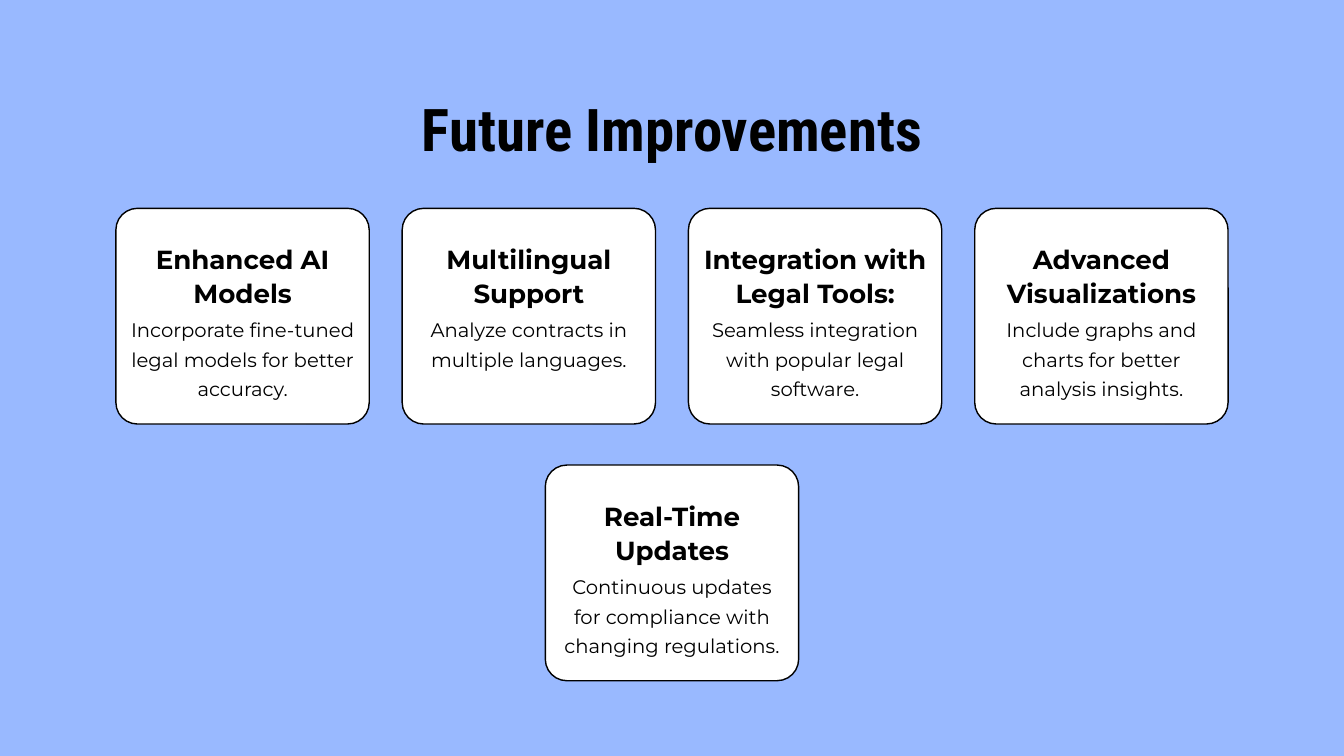
"""Build the Future Improvements slide: a title above centred rows of rounded cards."""
import dataclasses

import pptx
import pptx.dml.color
import pptx.enum.shapes
import pptx.enum.text
import pptx.util

HEADING = "Future Improvements"
IMPROVEMENT_ROWS = [
    [
        ("Enhanced AI Models", "Incorporate fine-tuned legal models for better accuracy.", 3),
        ("Multilingual Support", "Analyze contracts in multiple languages.", 2),
        ("Integration with Legal Tools:", "Seamless integration with popular legal software.", 3),
        ("Advanced Visualizations", "Include graphs and charts for better analysis insights.", 3),
    ],
    [
        ("Real-Time Updates", "Continuous updates for compliance with changing regulations.", 3),
    ],
]


@dataclasses.dataclass(frozen=True)
class Theme:
    background: str = "99B9FF"
    card: str = "FFFFFF"
    ink: str = "000000"
    title_font: str = "Roboto Condensed"
    card_font: str = "Montserrat"
    title_size: float = 63.1
    title_leading: float = 63.8
    name_size: float = 28
    name_leading: float = 36.4
    detail_size: float = 21
    detail_leading: float = 31.5


THEME = Theme()
SLIDE_WIDTH, SLIDE_HEIGHT = 20, 11.25
CARD_WIDTH, CARD_HEIGHT = 3.77, 3.21
COLUMN_PITCH, ROW_PITCH = 4.26, 3.82
GRID_TOP = 3.1
TEXT_WIDTH = 3.34
NAME_OFFSET, NAME_HEIGHT = 0.49, 0.98
DETAIL_OFFSET, DETAIL_LINE = 1.55, 0.43


def color(value):
    return pptx.dml.color.RGBColor.from_string(value)


def box(left, top, width, height):
    return [pptx.util.Inches(length) for length in (left, top, width, height)]


def write(holder, text, *, font, size, leading, bold=False):
    frame = holder.text_frame
    frame.margin_left = frame.margin_right = frame.margin_top = frame.margin_bottom = 0
    frame.word_wrap = True
    frame.auto_size = pptx.enum.text.MSO_AUTO_SIZE.SHAPE_TO_FIT_TEXT
    frame.vertical_anchor = pptx.enum.text.MSO_ANCHOR.TOP
    paragraph = frame.paragraphs[0]
    paragraph.alignment = pptx.enum.text.PP_ALIGN.CENTER
    paragraph.line_spacing = pptx.util.Pt(leading)
    paragraph.space_before = pptx.util.Pt(0)
    run = paragraph.add_run()
    run.text = text
    run.font.name = font
    run.font.size = pptx.util.Pt(size)
    run.font.bold = bold
    run.font.color.rgb = color(THEME.ink)


def add_card(slide, left, top, name, detail, detail_lines):
    card = slide.shapes.add_shape(
        pptx.enum.shapes.MSO_SHAPE.ROUNDED_RECTANGLE, *box(left, top, CARD_WIDTH, CARD_HEIGHT))
    card.adjustments[0] = 0.1
    card.shadow.inherit = False
    card.fill.solid()
    card.fill.fore_color.rgb = color(THEME.card)
    card.line.color.rgb = color(THEME.ink)
    card.line.width = pptx.util.Pt(1.5)

    text_left = left + (CARD_WIDTH - TEXT_WIDTH) / 2
    name_box = slide.shapes.add_textbox(
        *box(text_left, top + NAME_OFFSET, TEXT_WIDTH, NAME_HEIGHT))
    write(name_box, name, font=THEME.card_font, size=THEME.name_size,
          leading=THEME.name_leading, bold=True)
    detail_box = slide.shapes.add_textbox(
        *box(text_left, top + DETAIL_OFFSET, TEXT_WIDTH, detail_lines * DETAIL_LINE))
    write(detail_box, detail, font=THEME.card_font, size=THEME.detail_size,
          leading=THEME.detail_leading)


def main():
    deck = pptx.Presentation()
    deck.slide_width = pptx.util.Inches(SLIDE_WIDTH)
    deck.slide_height = pptx.util.Inches(SLIDE_HEIGHT)
    slide = deck.slides.add_slide(deck.slide_layouts.get_by_name("Title Only"))
    slide.background.fill.solid()
    slide.background.fill.fore_color.rgb = color(THEME.background)

    title = slide.shapes.title
    title.left, title.top, title.width, title.height = box(5.09, 1.55, 9.82, 0.95)
    write(title, HEADING, font=THEME.title_font, size=THEME.title_size,
          leading=THEME.title_leading, bold=True)

    for row, improvements in enumerate(IMPROVEMENT_ROWS):
        row_width = (len(improvements) - 1) * COLUMN_PITCH + CARD_WIDTH
        row_left = (SLIDE_WIDTH - row_width) / 2
        for column, improvement in enumerate(improvements):
            add_card(slide, row_left + column * COLUMN_PITCH,
                     GRID_TOP + row * ROW_PITCH, *improvement)

    deck.save("out.pptx")


if __name__ == "__main__":
    main()
